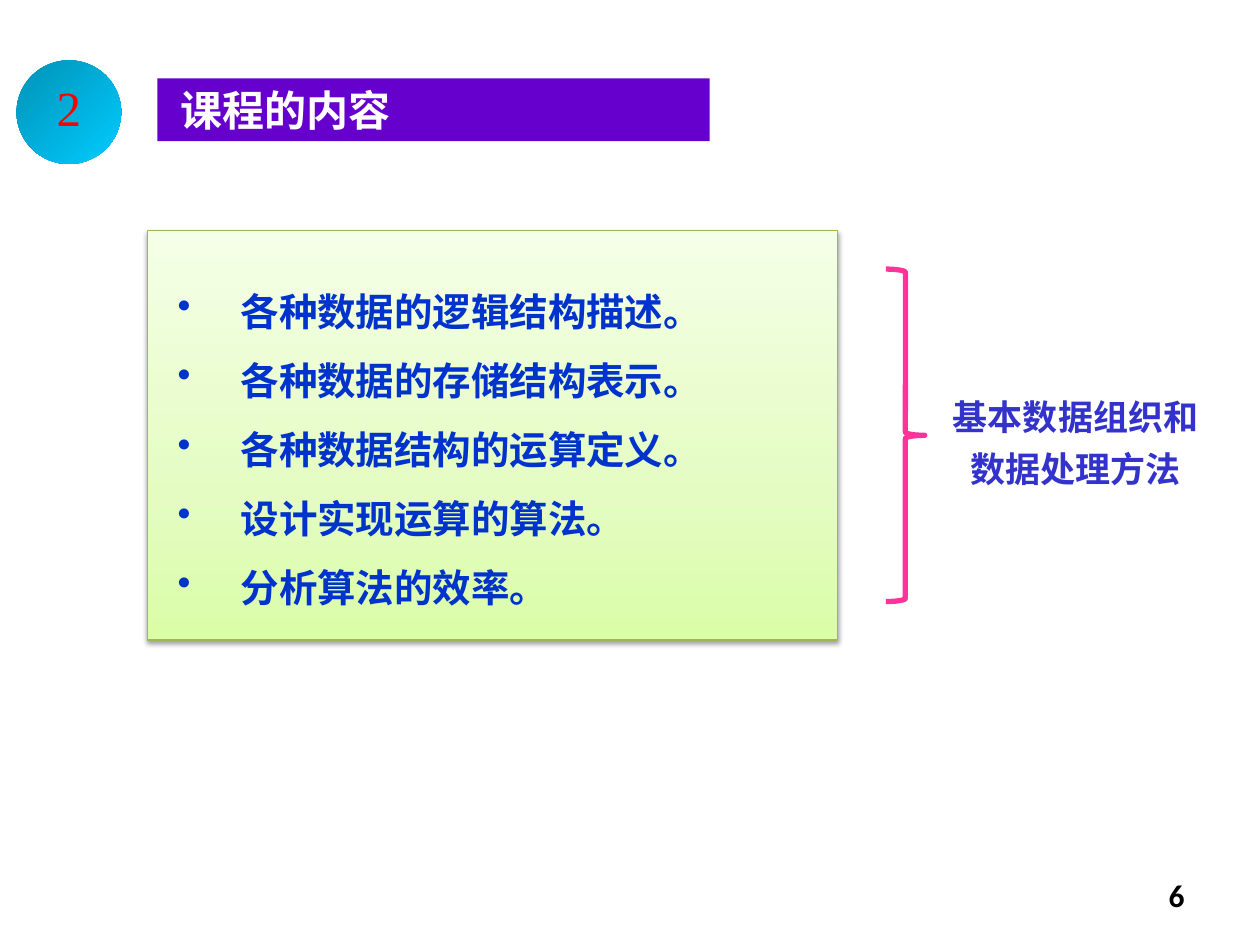
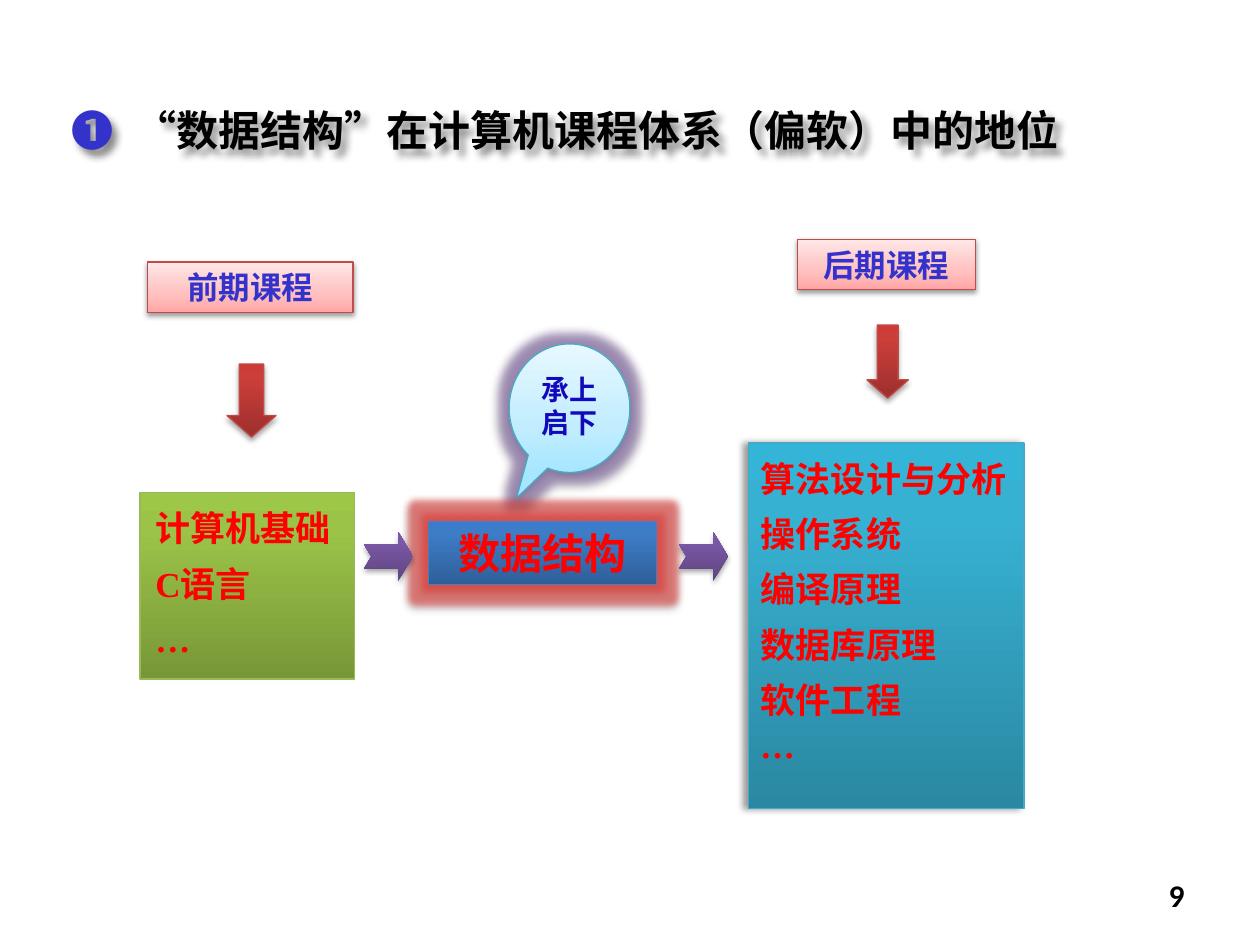
from lxml import etree
from pptx import Presentation
from pptx import util as u
from pptx.dml import color
from pptx.enum import shapes, text
from pptx.oxml import ns

COLOURS = {
    "white": "FFFFFF", "black": "000000", "red": "FF0000",
    "indigo": "3333CC", "blue": "0033CC", "navy": "1209BD",
    "violet": "6600CC", "pink": "FF3399",
    "badge_low": "0092B6", "badge_high": "00CCFF",
    "mint_low": "DAFDA7", "mint_mid": "E4FCC2", "mint_high": "F5FFE7",
    "rose_low": "FFA6A5", "rose_mid": "FFC0BF", "rose_high": "FFE7E7",
    "sky_low": "A7E6FF", "sky_mid": "C1EDFF", "sky_high": "E7F8FF",
    "brick_low": "9C2F2D", "brick_mid": "CB3E3A", "brick_high": "CE3B37",
    "olive_low": "779737", "olive_mid": "9BC348", "olive_high": "9DC746",
    "teal_low": "2A88A2", "teal_mid": "37B1D2", "teal_high": "34B4D6",
    "plum_low": "5F4480", "plum_mid": "7B58A6", "plum_high": "7C57A8",
    "ocean_low": "2F5F99", "ocean_mid": "3D7CC7", "ocean_high": "3A7CCB",
    "olive_line": "98B955", "brick_line": "BF4C48", "teal_line": "46AAC5",
    "ocean_line": "4B7EBC", "plum_glow": "8064A2", "red_glow": "E0403C",
}
CJK = "Noto Sans CJK SC"
SERIF = "Times New Roman"
SHAPE = shapes.MSO_SHAPE
ALIGN = text.PP_ALIGN
ANCHOR = text.MSO_ANCHOR
PALE_SHADOW = (38, 3.1, 1.6, 90)
STRONG_SHADOW = (35, 3.1, 1.8, 90)


def rgb(name):
    return color.RGBColor.from_string(COLOURS[name])


def add_element(parent, tag, **attributes):
    values = {key: str(value) for key, value in attributes.items()}
    return etree.SubElement(parent, ns.qn(tag), values)


def add_colour(parent, name, alpha=100):
    element = add_element(parent, "a:srgbClr", val=COLOURS[name])
    if alpha < 100:
        add_element(element, "a:alpha", val=alpha * 1000)


def fill_gradient(shape, stops, angle=90):
    shape.fill.gradient()
    shape.fill.gradient_angle = angle
    stop_list = shape.element.spPr.find(".//" + ns.qn("a:gsLst"))
    for old in list(stop_list):
        stop_list.remove(old)
    for position, name in stops:
        add_colour(add_element(stop_list, "a:gs", pos=position * 1000), name)


def fill_family(shape, family, middle):
    fill_gradient(shape, [(0, family + "_low"), (middle, family + "_mid"), (100, family + "_high")])


def add_effects(shape, shadow=None, glow=None):
    shape.shadow.inherit = False
    effects = shape.element.spPr.find(ns.qn("a:effectLst"))
    if glow:
        name, alpha, radius = glow
        add_colour(add_element(effects, "a:glow", rad=u.Pt(radius)), name, alpha)
    if shadow:
        alpha, blur, distance, direction = shadow
        outer = add_element(effects, "a:outerShdw", blurRad=u.Pt(blur), dist=u.Pt(distance),
                            dir=direction * 60000, algn="ctr", rotWithShape=0)
        add_colour(outer, "black", alpha)


def add_figure(page, kind, box, line=None, width=0.75, shadow=None, glow=None):
    shape = page.shapes.add_shape(kind, *map(u.Pt, box))
    shape.fill.background()
    if line:
        shape.line.color.rgb = rgb(line)
        shape.line.width = u.Pt(width)
    else:
        shape.line.fill.background()
    add_effects(shape, shadow, glow)
    return shape


def set_font(font, size, name, colour, bold=True):
    font.size = u.Pt(size)
    font.bold = bold
    font.color.rgb = rgb(colour)
    font.name = name
    add_element(font._element, "a:ea", typeface=CJK)


def write(shape, lines, size, colour, name=CJK, bold=True, align=ALIGN.LEFT, anchor=ANCHOR.MIDDLE,
          insets=(7.2, 0, 7.2, 0), spacing=None, before=0, bullet_indent=0):
    frame = shape.text_frame
    frame.word_wrap = True
    frame.vertical_anchor = anchor
    frame.margin_left, frame.margin_top, frame.margin_right, frame.margin_bottom = map(u.Pt, insets)
    for index, line in enumerate(lines):
        para = frame.add_paragraph() if index else frame.paragraphs[0]
        para.text = line
        para.alignment = align
        if spacing:
            para.line_spacing = spacing
        if index and before:
            para.space_before = u.Pt(before)
        if bullet_indent:
            hang(para, bullet_indent)
            add_element(para._p.get_or_add_pPr(), "a:buChar", char="•")
        set_font(para.font, size, name, colour, bold)


def hang(para, indent):
    properties = para._p.get_or_add_pPr()
    properties.set("marL", str(u.Pt(indent)))
    properties.set("indent", str(-u.Pt(indent)))


def add_page(deck, number):
    page = deck.slides.add_slide(deck.slide_layouts[6])
    box = page.shapes.add_textbox(*map(u.Pt, (516.25, 500.5, 167.75, 28.75)))
    write(box, [str(number)], 18, "black", "Calibri", align=ALIGN.RIGHT, anchor=ANCHOR.TOP)
    return page


def add_section_header(page, box, number, title):
    left, top, width, height = box
    bar = add_figure(page, SHAPE.RECTANGLE, (left + 80.5, top + 10.25, width - 80.5, 36))
    bar.fill.solid()
    bar.fill.fore_color.rgb = rgb("violet")
    write(bar, [title], 24, "white", insets=(13, 0, 7.2, 0))
    badge = add_figure(page, SHAPE.OVAL, (left, top, 59.75, height))
    fill_gradient(badge, [(0, "badge_low"), (100, "badge_high")], 315)
    write(badge, [str(number)], 28, "red", SERIF, bold=False, align=ALIGN.CENTER, spacing=0.8)


def add_contents(page, box, topics, summary):
    left, top, width, height = box
    panel = add_figure(page, SHAPE.RECTANGLE, (left, top, 394.5, height), "olive_line", shadow=PALE_SHADOW)
    fill_family(panel, "mint", 35)
    write(panel, topics, 22, "blue", anchor=ANCHOR.TOP, insets=(17.25, 19.5, 17.25, 17.25),
          spacing=u.Pt(39.5), bullet_indent=36)
    add_figure(page, SHAPE.RIGHT_BRACE, (left + 422, top + 22, 22.25, height - 44), "pink", 3)
    note = page.shapes.add_textbox(*map(u.Pt, (left + width - 157.75, top + 83.5, 157.75, 67.75)))
    write(note, [summary], 20, "indigo", align=ALIGN.CENTER, anchor=ANCHOR.TOP,
          insets=(7.2, 4.6, 7.2, 3.6), spacing=u.Pt(30))


def add_numbered_title(page, box, mark, title):
    shape = page.shapes.add_textbox(*map(u.Pt, box))
    add_effects(shape, (45, 4, 4, 45))
    frame = shape.text_frame
    frame.word_wrap = True
    frame.vertical_anchor = ANCHOR.MIDDLE
    frame.margin_top = frame.margin_bottom = 0
    para = frame.paragraphs[0]
    hang(para, 36)
    for content, name, colour in ((mark + "\t", SERIF, "indigo"), (title, CJK, "black")):
        span = para.add_run()
        span.text = content
        set_font(span.font, 24, name, colour)


def add_course_group(page, box, heading, heading_left, heading_width, arrow_top, arrow_width,
                     list_top, courses, family, font, inset, shadow=None):
    left, top, width, height = box
    label_box = (left + heading_left, top, heading_width, 28.75)
    label = add_figure(page, SHAPE.RECTANGLE, label_box, "brick_line", shadow=PALE_SHADOW)
    fill_family(label, "rose", 35)
    write(label, [heading], 18, "indigo", align=ALIGN.CENTER)
    arrow_left = left + heading_left + (heading_width - arrow_width) / 2 + 0.75
    arrow = add_figure(page, SHAPE.DOWN_ARROW, (arrow_left, top + arrow_top, arrow_width, 41.75),
                       "brick_line", shadow=STRONG_SHADOW)
    arrow.adjustments[1] = 0.44
    fill_family(arrow, "brick", 80)
    panel = add_figure(page, SHAPE.RECTANGLE, (left, top + list_top, width, height - list_top),
                       family + "_line", shadow=shadow)
    fill_family(panel, family, 80)
    write(panel, courses, 20, "red", font, anchor=ANCHOR.TOP, insets=(inset, 10.75, inset, 8.75),
          spacing=u.Pt(21.25), before=10.4)


def add_core_course(page, box, course, remark):
    left, top, width, height = box
    callout = add_figure(page, SHAPE.OVAL_CALLOUT, (left + 83, top, 69, 73.5), "teal_line",
                         shadow=PALE_SHADOW, glow=("plum_glow", 60, 11))
    callout.adjustments[0], callout.adjustments[1] = -0.44, 0.7
    fill_family(callout, "sky", 35)
    write(callout, [remark], 16, "navy", align=ALIGN.CENTER, anchor=ANCHOR.TOP,
          insets=(7.2, 5.6, 7.2, 3.6), spacing=u.Pt(19))
    core = add_figure(page, SHAPE.RECTANGLE, (left + 37, top + height - 36, 130.25, 36), "ocean_line",
                      shadow=STRONG_SHADOW, glow=("red_glow", 60, 8))
    fill_family(core, "ocean", 80)
    write(core, [course], 24, "red", align=ALIGN.CENTER)
    for arrow_left in (left, left + width - 28):
        arrow = add_figure(page, SHAPE.NOTCHED_RIGHT_ARROW, (arrow_left, top + height - 30, 28, 28),
                           shadow=STRONG_SHADOW)
        arrow.adjustments[1] = 0.3
        fill_family(arrow, "plum", 80)


def build_contents_slide(deck):
    page = add_page(deck, 6)
    add_section_header(page, (9.5, 34.5, 396, 59.25), 2, "课程的内容")
    topics = ["各种数据的逻辑结构描述。", "各种数据的存储结构表示。", "各种数据结构的运算定义。",
              "设计实现运算的算法。", "分析算法的效率。"]
    add_contents(page, (84.25, 131.75, 609.25, 234), topics, "基本数据组织和数据处理方法")


def build_position_slide(deck):
    page = add_page(deck, 9)
    add_course_group(page, (80, 149.75, 122.5, 238.25), "前期课程", 4.25, 117.5, 58.25, 28, 131.75,
                     ["计算机基础", "C语言", "…"], "olive", SERIF, 8.75)
    add_course_group(page, (427.75, 136.75, 157.5, 325.25), "后期课程", 28, 101.5, 49, 23.75, 116.5,
                     ["算法设计与分析", "操作系统", "编译原理", "数据库原理", "软件工程", "…"],
                     "teal", CJK, 7.2, (40, 4, 3, 180))
    add_core_course(page, (208, 196.5, 208, 137.5), "数据结构", "承上启下")
    add_numbered_title(page, (33.75, 56.25, 618.5, 36), "❶", "“数据结构”在计算机课程体系（偏软）中的地位")


def main():
    deck = Presentation()
    deck.slide_width, deck.slide_height = u.Pt(720), u.Pt(540)
    build_contents_slide(deck)
    build_position_slide(deck)
    deck.save("out.pptx")


if __name__ == "__main__":
    main()
